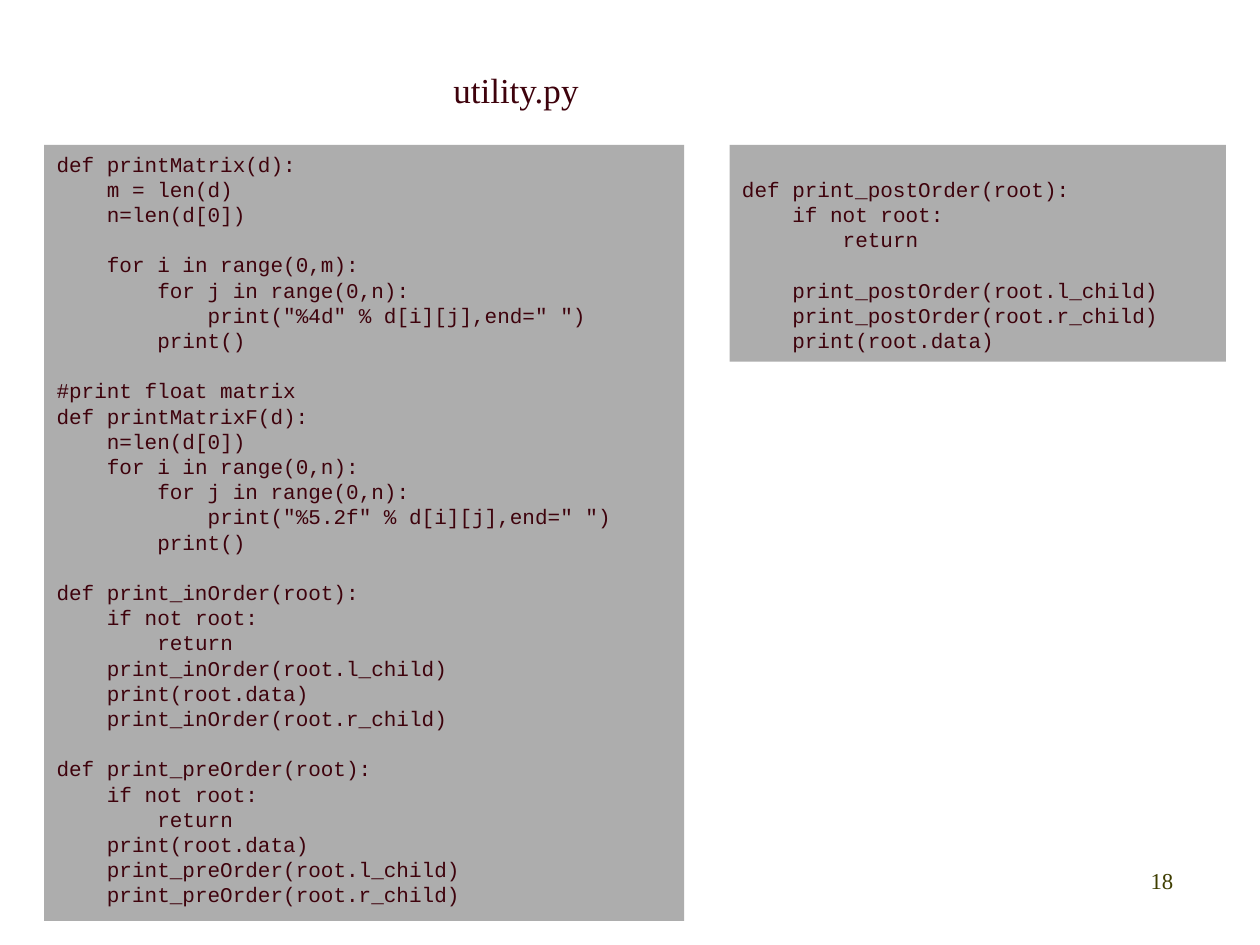
from pptx import Presentation
from pptx.dml.color import RGBColor
from pptx.enum.shapes import MSO_SHAPE
from pptx.enum.text import MSO_ANCHOR, PP_ALIGN
from pptx.util import Inches, Pt

WINE, OLIVE, GRAY = "3E020C", "3F3E00", "ADADAD"
LINE = 14.4  # points from one code line to the next
STEP = 0.1  # inches of indent for each leading space

LEFT = '''def printMatrix(d):
    m = len(d)
    n=len(d[0])

    for i in range(0,m):
        for j in range(0,n):
            print("%4d" % d[i][j],end=" ")
        print()

#print float matrix
def printMatrixF(d):
    n=len(d[0])
    for i in range(0,n):
        for j in range(0,n):
            print("%5.2f" % d[i][j],end=" ")
        print()

def print_inOrder(root):
    if not root:
        return
    print_inOrder(root.l_child)
    print(root.data)
    print_inOrder(root.r_child)

def print_preOrder(root):
    if not root:
        return
    print(root.data)
    print_preOrder(root.l_child)
    print_preOrder(root.r_child)'''

RIGHT = '''def print_postOrder(root):
    if not root:
        return

    print_postOrder(root.l_child)
    print_postOrder(root.r_child)
    print(root.data)'''


def paint(part, color):
    part.rgb = RGBColor.from_string(color)


def style(para, text, face, size, color):
    para.text = text
    para.font.name = face
    para.font.size = Pt(size)
    paint(para.font.color, color)


deck = Presentation()
deck.slide_width, deck.slide_height = Inches(10), Inches(7.5)
slide = deck.slides.add_slide(deck.slide_layouts[6])
shapes = slide.shapes

# Page number
page = shapes.add_textbox(Inches(7.33), Inches(6.83), Inches(2.08), Inches(0.5))
page.text_frame.word_wrap = True
para = page.text_frame.paragraphs[0]
style(para, "18", "Times New Roman", 13, OLIVE)
para.alignment = PP_ALIGN.RIGHT

# Code panels: left, width, height, top margin, code
panels = [(0.35, 5.08, 6.16, 0.05, LEFT), (5.79, 3.94, 1.72, 0.25, RIGHT)]
for left, width, height, margin, code in panels:
    panel = shapes.add_shape(MSO_SHAPE.RECTANGLE, Inches(left), Inches(1.15),
                             Inches(width), Inches(height))
    panel.shadow.inherit = False
    panel.fill.solid()
    paint(panel.fill.fore_color, GRAY)
    panel.line.fill.background()
    frame = panel.text_frame
    frame.word_wrap = True
    frame.vertical_anchor = MSO_ANCHOR.TOP
    frame.margin_top = Inches(margin)

    # Leading spaces become indents, empty lines become space before
    para, gap = frame.paragraphs[0], 0
    for line in code.split("\n"):
        if not line:
            gap = LINE
            continue
        para = frame.add_paragraph() if para.text else para
        text = line.lstrip()
        style(para, text, "Courier New", 12, WINE)
        para.alignment = PP_ALIGN.LEFT
        para.line_spacing = Pt(LINE)
        para.space_before = Pt(gap)
        indent = Inches(STEP * (len(line) - len(text)))
        para._p.get_or_add_pPr().set("marL", str(indent))
        gap = 0

# Title
title = shapes.add_textbox(Inches(3.5), Inches(0.44), Inches(1.2), Inches(0.46))
title.text_frame.word_wrap = False
para = title.text_frame.paragraphs[0]
style(para, "utility.py", "Times New Roman", 20, WINE)
para.line_spacing = Pt(28)

deck.save("out.pptx")
